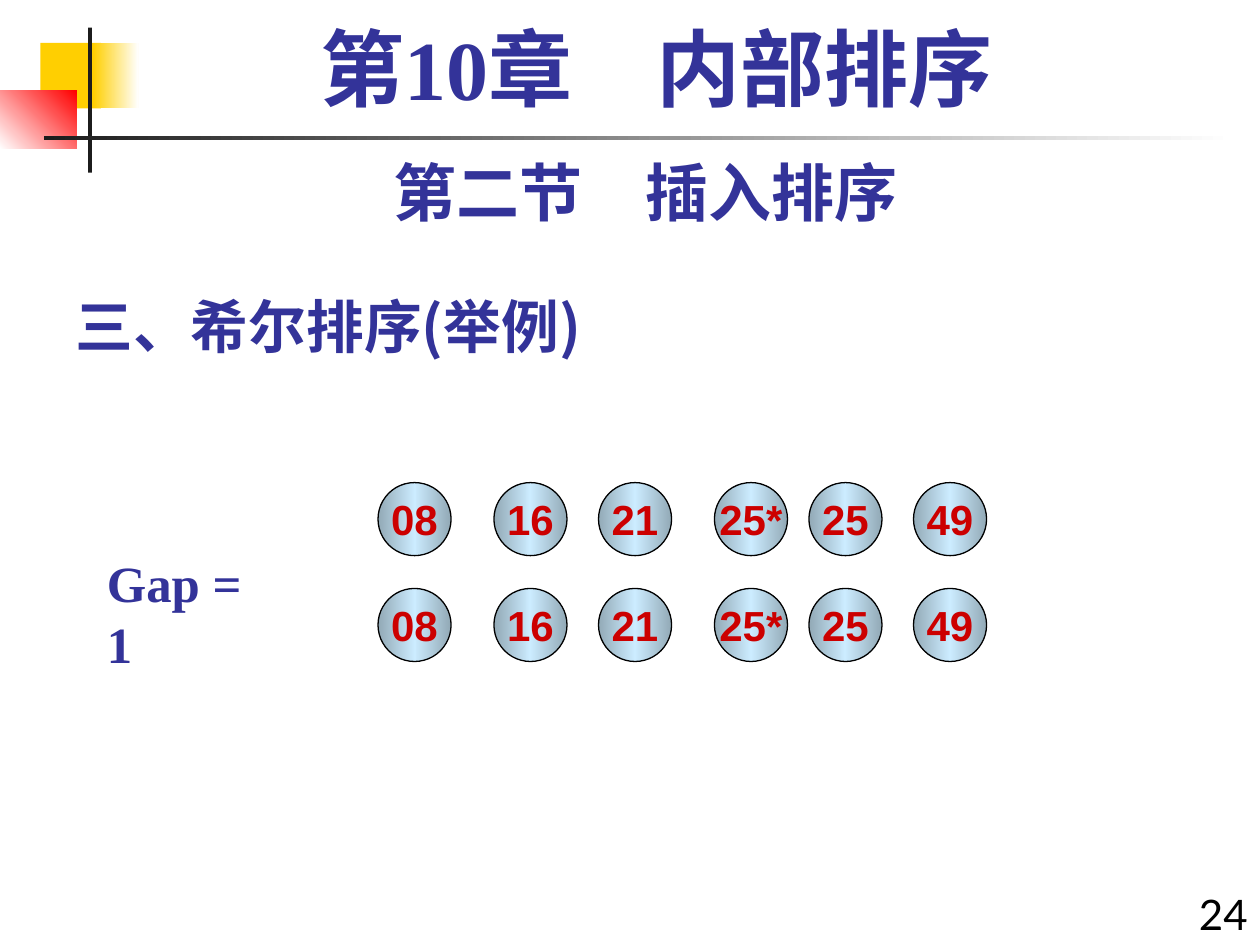
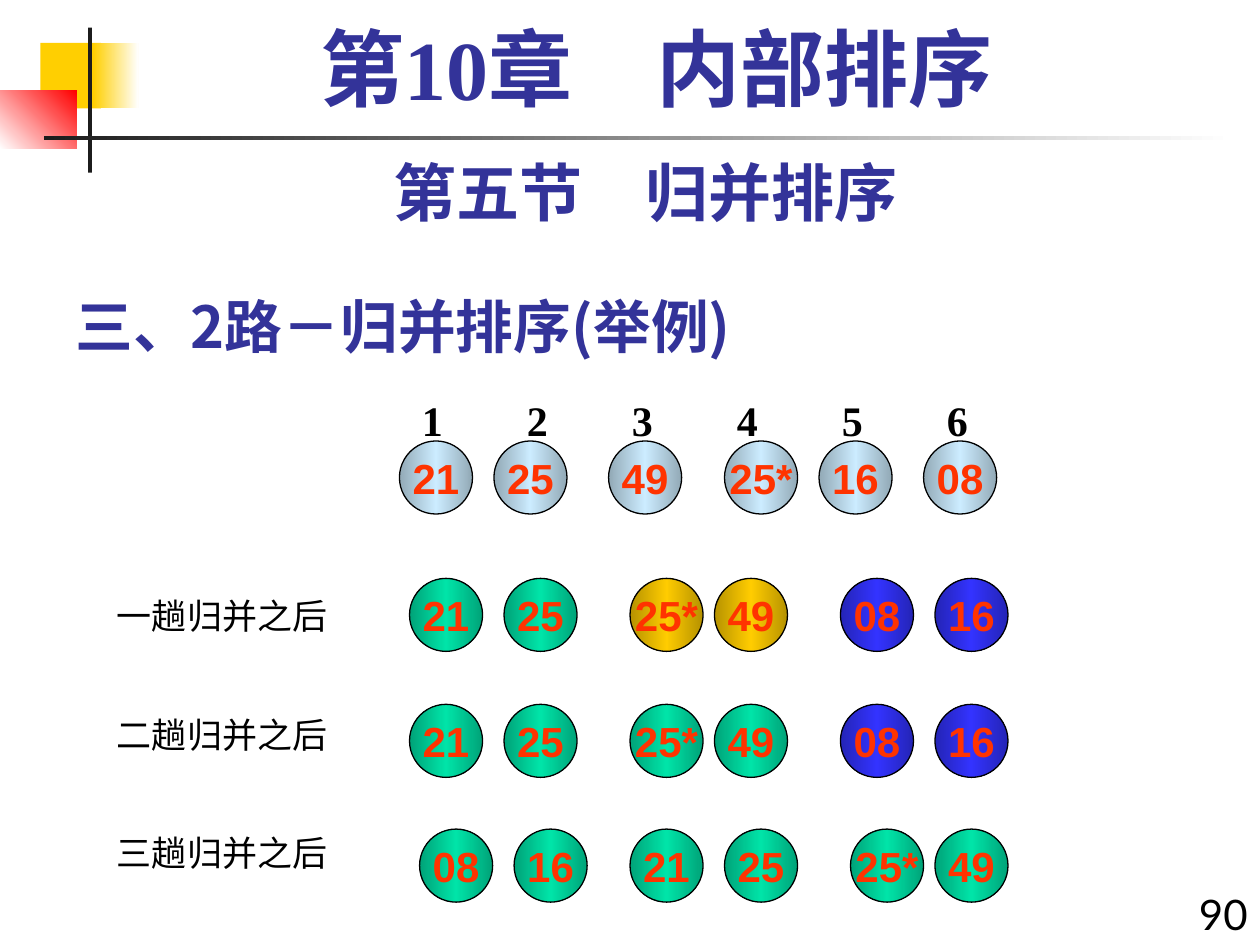
from dataclasses import dataclass

from lxml.etree import SubElement
from pptx import Presentation
from pptx.dml.color import RGBColor
from pptx.enum.shapes import MSO_SHAPE
from pptx.enum.text import MSO_ANCHOR, PP_ALIGN
from pptx.oxml.ns import qn
from pptx.shapes.autoshape import Shape
from pptx.slide import Slide
from pptx.util import Inches, Pt

# Colours
NAVY = RGBColor(0x33, 0x33, 0x99)
BLACK = RGBColor(0x00, 0x00, 0x00)
CHARCOAL = RGBColor(0x1C, 0x1C, 0x1C)
WHITE = RGBColor(0xFF, 0xFF, 0xFF)
YELLOW = RGBColor(0xFF, 0xCF, 0x01)
RED = RGBColor(0xFF, 0x00, 0x00)
DARK_RED = RGBColor(0xCC, 0x00, 0x00)
ORANGE_RED = RGBColor(0xFF, 0x33, 0x00)

# Ball shades: edge and centre
STEEL = (RGBColor(0x92, 0xA9, 0xB6), RGBColor(0xCC, 0xEC, 0xFF))
GREEN = (RGBColor(0x00, 0xA3, 0x78), RGBColor(0x00, 0xE4, 0xA8))
GOLD = (RGBColor(0xB6, 0x92, 0x00), RGBColor(0xFF, 0xCC, 0x00))
BLUE = (RGBColor(0x24, 0x24, 0xB6), RGBColor(0x33, 0x33, 0xFF))

SERIF = "Times New Roman"
SANS = "Lato"
CJK = "Noto Sans CJK SC"
BALL_FONT = "Arial"
BALL_SIZE = 0.58


@dataclass(frozen=True)
class TextStyle:
    font: str
    size: float
    color: RGBColor = NAVY
    bold: bool = True
    align: PP_ALIGN = PP_ALIGN.LEFT
    anchor: MSO_ANCHOR = MSO_ANCHOR.TOP
    line_spacing: float = 1.0
    wrap: bool = True


@dataclass(frozen=True)
class Band:
    left: float
    top: float
    width: float
    height: float
    colors: tuple[RGBColor, ...]
    angle: float = 0


@dataclass(frozen=True)
class BallRow:
    top: float
    lefts: tuple[float, ...]
    labels: tuple[str, ...]
    shades: tuple[tuple[RGBColor, RGBColor], ...]


CHAPTER_STYLE = TextStyle(SERIF, 48, align=PP_ALIGN.CENTER, line_spacing=0.9)
SECTION_STYLE = TextStyle(SANS, 36, align=PP_ALIGN.CENTER)
TOPIC_STYLE = TextStyle(CJK, 33, anchor=MSO_ANCHOR.BOTTOM)
NUMBER_STYLE = TextStyle(SANS, 24, BLACK, bold=False, align=PP_ALIGN.RIGHT)
GAP_STYLE = TextStyle(SERIF, 29)
INDEX_STYLE = TextStyle(SERIF, 24, BLACK)
PASS_STYLE = TextStyle(SANS, 20, BLACK, bold=False)

BANDS = (
    Band(0.32, 0.34, 0.48, 0.52, (YELLOW,)),
    Band(0.74, 0.34, 0.36, 0.52, (YELLOW, WHITE)),
    Band(0, 0.72, 0.61, 0.46, (WHITE, RED), angle=45),
    Band(0.7, 0.22, 0.03, 1.15, (CHARCOAL,)),
    Band(0.35, 1.08, 9.44, 0.03, (CHARCOAL, WHITE)),
)

# Shell sort: the same numbers before and after the last step
SHELL_LEFTS = (3, 3.92, 4.75, 5.67, 6.42, 7.25)
SHELL_LABELS = ("08", "16", "21", "25*", "25", "49")
SHELL_ROWS = tuple(
    BallRow(top, SHELL_LEFTS, SHELL_LABELS, (STEEL,) * 6) for top in (3.83, 4.67)
)

# Merge sort: each colour is one merged run
PAIR_LEFTS = (3.25, 4, 5, 5.67, 6.67, 7.42)
PAIR_LABELS = ("21", "25", "25*", "49", "08", "16")
MERGE_ROWS = (
    BallRow(3.5, (3.17, 3.92, 4.83, 5.75, 6.5, 7.33),
            ("21", "25", "49", "25*", "16", "08"), (STEEL,) * 6),
    BallRow(4.59, PAIR_LEFTS, PAIR_LABELS, (GREEN,) * 2 + (GOLD,) * 2 + (BLUE,) * 2),
    BallRow(5.59, PAIR_LEFTS, PAIR_LABELS, (GREEN,) * 4 + (BLUE,) * 2),
    BallRow(6.58, (3.33, 4.08, 5, 5.75, 6.75, 7.42),
            ("08", "16", "21", "25", "25*", "49"), (GREEN,) * 6),
)
PASS_LABELS = ("一趟归并之后", "二趟归并之后", "三趟归并之后")


def write(shape: Shape, text: str, style: TextStyle) -> None:
    frame = shape.text_frame
    frame.word_wrap = style.wrap
    frame.vertical_anchor = style.anchor
    paragraph = frame.paragraphs[0]
    paragraph.text = text
    paragraph.alignment = style.align
    paragraph.line_spacing = style.line_spacing
    font = paragraph.font
    font.name = style.font
    font.size = Pt(style.size)
    font.bold = style.bold
    font.color.rgb = style.color
    # East Asian typeface
    defaults = paragraph._p.pPr.find(qn("a:defRPr"))
    SubElement(defaults, qn("a:ea"), typeface=CJK)


def add_text(slide: Slide, left: float, top: float, width: float, height: float,
             text: str, style: TextStyle) -> None:
    box = slide.shapes.add_textbox(
        Inches(left), Inches(top), Inches(width), Inches(height))
    write(box, text, style)


def paint(shape: Shape, colors: tuple[RGBColor, ...], angle: float = 0) -> None:
    """Fill with one colour, or with a gradient of evenly spaced colours."""
    shape.shadow.inherit = False
    if len(colors) == 1:
        shape.fill.solid()
        shape.fill.fore_color.rgb = colors[0]
        return
    shape.fill.gradient()
    shape.fill.gradient_angle = angle
    stops = shape._element.spPr.find(qn("a:gradFill")).find(qn("a:gsLst"))
    stops.clear()
    for index, color in enumerate(colors):
        position = 100000 * index // (len(colors) - 1)
        stop = SubElement(stops, qn("a:gs"), pos=str(position))
        SubElement(stop, qn("a:srgbClr"), val=str(color))


def add_band(slide: Slide, band: Band) -> None:
    shape = slide.shapes.add_shape(
        MSO_SHAPE.RECTANGLE, Inches(band.left), Inches(band.top),
        Inches(band.width), Inches(band.height))
    paint(shape, band.colors, band.angle)
    shape.line.fill.background()


def add_ball_row(slide: Slide, row: BallRow, color: RGBColor) -> None:
    style = TextStyle(BALL_FONT, 24, color, align=PP_ALIGN.CENTER,
                      anchor=MSO_ANCHOR.MIDDLE, wrap=False)
    for left, label, (edge, centre) in zip(row.lefts, row.labels, row.shades):
        ball = slide.shapes.add_shape(
            MSO_SHAPE.OVAL, Inches(left), Inches(row.top),
            Inches(BALL_SIZE), Inches(BALL_SIZE))
        paint(ball, (edge, centre, edge))
        ball.line.color.rgb = BLACK
        ball.line.width = Pt(0.75)
        write(ball, label, style)


def add_base_slide(presentation: Presentation, section: str, topic: str,
                   number: int) -> Slide:
    """Add a slide with the shared bands, headings and slide number."""
    slide = presentation.slides.add_slide(presentation.slide_layouts[6])
    for band in BANDS:
        add_band(slide, band)
    add_text(slide, 0.5, 2.17, 6.25, 0.74, topic, TOPIC_STYLE)
    add_text(slide, 9.33, 7, 0.67, 0.5, str(number), NUMBER_STYLE)
    add_text(slide, 0.5, 1.17, 9.25, 0.7, section, SECTION_STYLE)
    add_text(slide, 0.67, 0.17, 9.08, 0.83, "第10章　内部排序", CHAPTER_STYLE)
    return slide


def add_shell_slide(presentation: Presentation) -> None:
    slide = add_base_slide(presentation, "第二节　插入排序", "三、希尔排序(举例)", 24)
    add_text(slide, 0.75, 4.33, 1.55, 0.57, "Gap = 1", GAP_STYLE)
    for row in SHELL_ROWS:
        add_ball_row(slide, row, DARK_RED)


def add_merge_slide(presentation: Presentation) -> None:
    slide = add_base_slide(presentation, "第五节　归并排序", "三、2路－归并排序(举例)", 90)
    # Positions above the first row
    for index in range(6):
        add_text(slide, 3.25 + index * 5 / 6, 3.08, 0.5, 0.51,
                 str(index + 1), INDEX_STYLE)
    for row in MERGE_ROWS:
        add_ball_row(slide, row, ORANGE_RED)
    # Names of the passes
    for index, label in enumerate(PASS_LABELS):
        add_text(slide, 0.83, 4.67 + index * 0.94, 2.08, 0.5, label, PASS_STYLE)


def main() -> None:
    presentation = Presentation()
    presentation.slide_width = Inches(10)
    presentation.slide_height = Inches(7.5)
    add_shell_slide(presentation)
    add_merge_slide(presentation)
    presentation.save("out.pptx")


if __name__ == "__main__":
    main()
